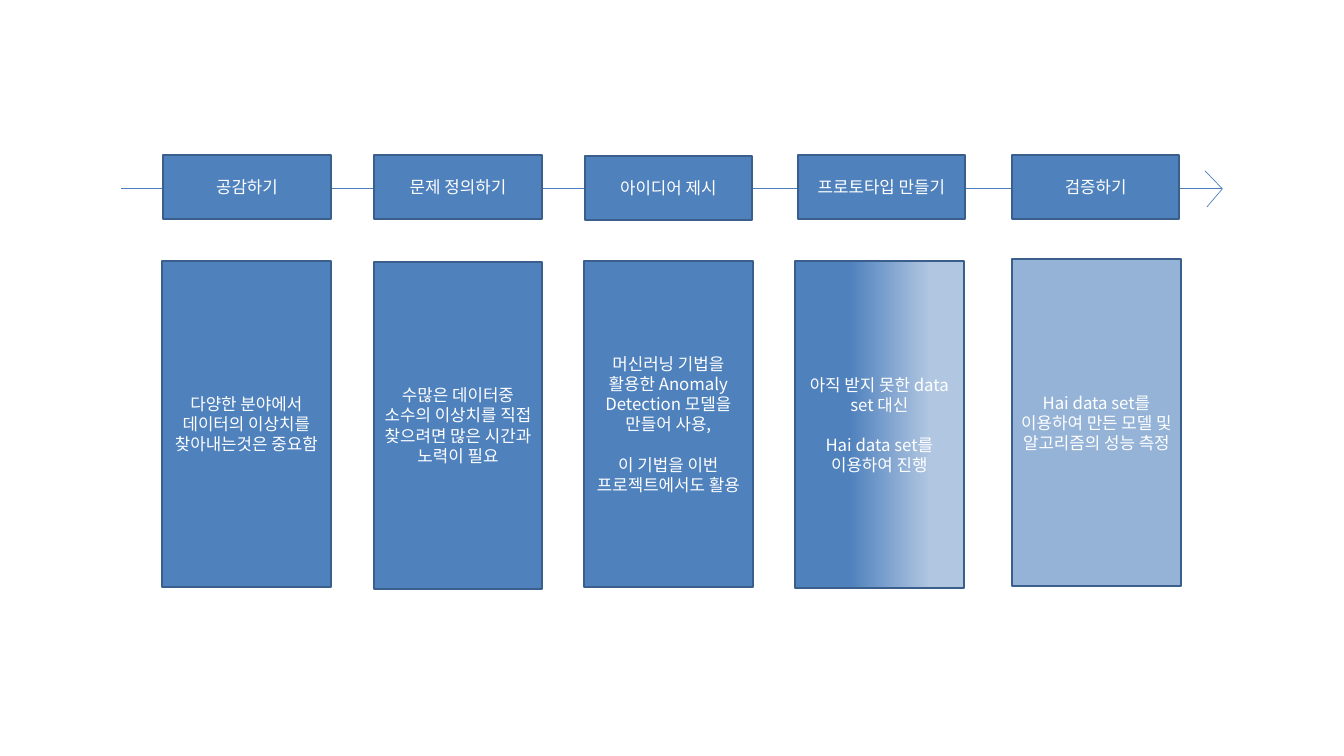
"""Build a slide of five design thinking steps along an arrow."""
from lxml.etree import SubElement
from pptx import Presentation
from pptx.dml.color import RGBColor
from pptx.enum.shapes import MSO_CONNECTOR as LINK, MSO_SHAPE as SHAPE
from pptx.enum.text import MSO_ANCHOR as ANCHOR, PP_ALIGN as ALIGN
from pptx.oxml.ns import qn
from pptx.util import Inches, Pt

FONT = "Noto Sans CJK KR"
BLUE = RGBColor(0x4F, 0x81, 0xBD)
LIGHT = RGBColor(0x95, 0xB3, 0xD7)
PALE = RGBColor(0xB0, 0xC6, 0xE1)
EDGE = RGBColor(0x3A, 0x5F, 0x8C)
AXIS = RGBColor(0x4B, 0x7E, 0xBC)
WHITE = RGBColor(0xFF, 0xFF, 0xFF)

HEAD = (2.49, 0.95)
BODY = (2.51, 4.86)
STEPS = [
    {"head": "공감하기", "head_at": (2.43, 2.31), "body_at": (2.41, 3.88), "fill": BLUE,
     "body": ["다양한 분야에서 데이터의 이상치를 찾아내는것은 중요함"]},
    {"head": "문제 정의하기", "head_at": (5.57, 2.31), "body_at": (5.56, 3.9), "fill": BLUE,
     "body": ["수많은 데이터중 소수의 이상치를 직접 찾으려면 많은 시간과 노력이 필요"]},
    {"head": "아이디어 제시", "head_at": (8.7, 2.32), "body_at": (8.69, 3.88), "fill": BLUE,
     "body": ["머신러닝 기법을 활용한 Anomaly Detection 모델을 만들어 사용,",
              "이 기법을 이번 프로젝트에서도 활용"]},
    {"head": "프로토타입 만들기", "head_at": (11.87, 2.31), "body_at": (11.83, 3.89),
     "fill": [(0.32, BLUE), (0.8, PALE)],
     "body": ["아직 받지 못한 data set 대신", "Hai data set를 이용하여 진행"]},
    {"head": "검증하기", "head_at": (15.06, 2.31), "body_at": (15.06, 3.86), "fill": LIGHT,
     "body": ["Hai data set를 이용하여 만든 모델 및 알고리즘의 성능 측정"]},
]
TIP = (18.19, 2.81)
ENDS = [(1.8, 2.81), (17.93, 2.54), (17.96, 3.08)]


def write(frame, lines, size=18, color=WHITE, gap=21.6):
    frame.word_wrap = True
    frame.vertical_anchor = ANCHOR.MIDDLE
    for i, line in enumerate(lines):
        para = frame.add_paragraph() if i else frame.paragraphs[0]
        para.alignment = ALIGN.CENTER
        para.space_before = Pt(gap if i else 0)
        run = para.add_run()
        run.text = line
        run.font.size = Pt(size)
        run.font.name = FONT
        run.font.color.rgb = color
        SubElement(run.font._element, qn("a:ea"), typeface=FONT)


def paint(fill, color):
    if isinstance(color, RGBColor):
        fill.solid()
        fill.fore_color.rgb = color
        return
    fill.gradient()
    fill.gradient_angle = 0
    for stop, (place, tone) in zip(fill.gradient_stops, color):
        stop.position = place
        stop.color.rgb = tone


def add_box(slide, spot, size, fill, lines):
    box = slide.shapes.add_shape(SHAPE.RECTANGLE, *map(Inches, spot + size))
    box.shadow.inherit = False
    paint(box.fill, fill)
    box.line.color.rgb = EDGE
    box.line.width = Pt(2)
    write(box.text_frame, lines)


def add_line(slide, start, end):
    line = slide.shapes.add_connector(LINK.STRAIGHT, *map(Inches, start + end))
    line.line.color.rgb = AXIS
    line.line.width = Pt(0.75)
    SubElement(line._element.spPr, qn("a:effectLst"))


def main():
    deck = Presentation()
    deck.slide_width, deck.slide_height = Inches(20), Inches(11.25)
    slide = deck.slides.add_slide(deck.slide_layouts[6])
    for end in ENDS:
        add_line(slide, end, TIP)
    for step in STEPS:
        add_box(slide, step["head_at"], HEAD, BLUE, [step["head"]])
        add_box(slide, step["body_at"], BODY, step["fill"], step["body"])
    deck.save("out.pptx")


if __name__ == "__main__":
    main()
